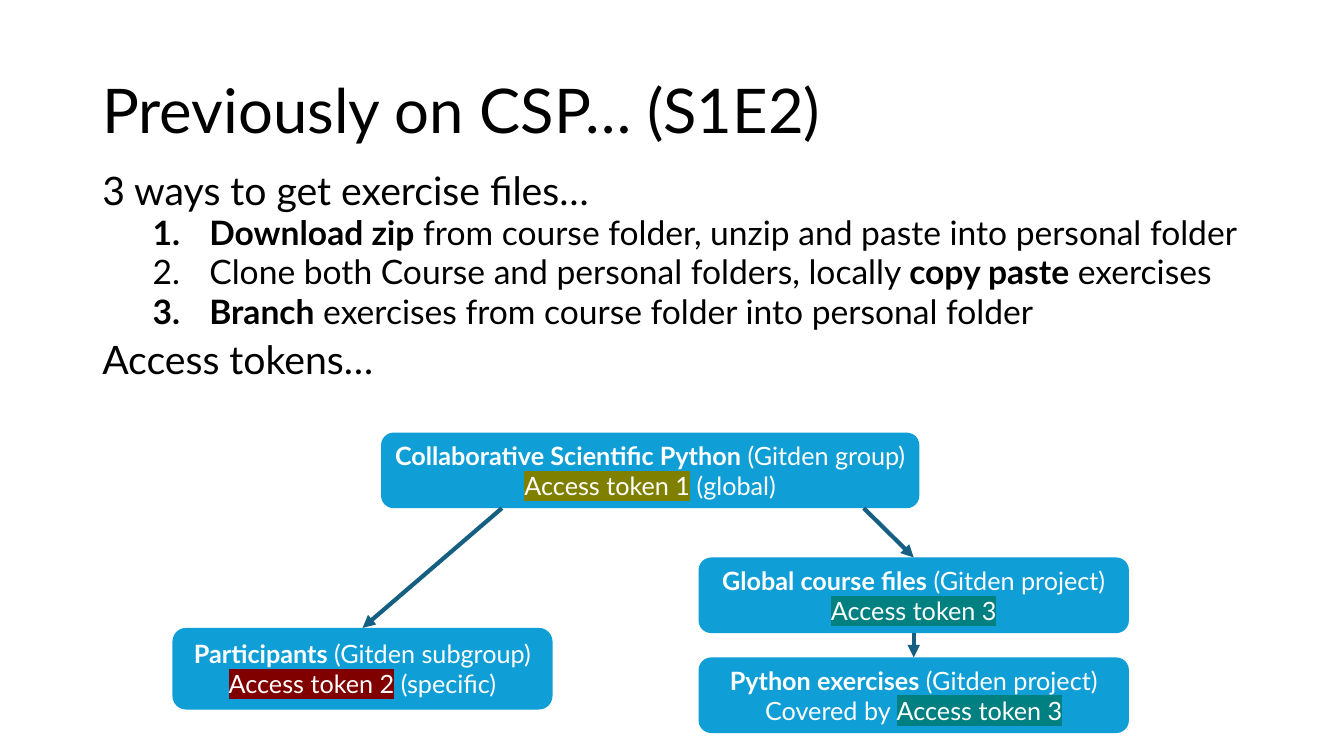
from lxml.etree import SubElement
from pptx import Presentation
from pptx.dml.color import RGBColor
from pptx.enum.shapes import MSO_CONNECTOR, MSO_SHAPE
from pptx.enum.text import MSO_ANCHOR as Anchor, PP_ALIGN as Align
from pptx.oxml import parse_xml
from pptx.oxml.ns import nsdecls, qn
from pptx.util import Pt

BLACK = RGBColor(0x00, 0x00, 0x00)
WHITE = RGBColor(0xFF, 0xFF, 0xFF)
BLUE = RGBColor(0x0F, 0x9E, 0xD5)
ARROW = RGBColor(0x15, 0x60, 0x82)
OLIVE = RGBColor(0x80, 0x80, 0x00)
MAROON = RGBColor(0x80, 0x00, 0x00)
TEAL = RGBColor(0x00, 0x80, 0x80)

TOP, BOTTOM = 0, 2


class SlideBuilder:
    """Holds the text style and the current slide."""

    font = "Lato"

    def __init__(self, page):
        self.page = page

    def spans(self, para, parts, size, color):
        """Add (text, bold, highlight) parts to a paragraph."""
        for text, bold, highlight in parts:
            span = para.add_run()
            span.text = text
            span.font.name = self.font
            span.font.size = Pt(size)
            span.font.bold = bold
            span.font.color.rgb = color
            if highlight is not None:
                mark = parse_xml(f'<a:highlight {nsdecls("a")}>'
                                 f'<a:srgbClr val="{highlight}"/></a:highlight>')
                span.font.fill._xPr.find(qn("a:solidFill")).addnext(mark)

    def text(self, left, top, width, height, anchor=Anchor.TOP):
        """Add an empty wrapping text box and return its frame."""
        box = self.page.shapes.add_textbox(Pt(left), Pt(top), Pt(width), Pt(height))
        frame = box.text_frame
        frame.word_wrap = True
        frame.vertical_anchor = anchor
        return frame

    def line(self, para, parts, size, spacing, before=0, numbered=False):
        """Fill one left-aligned paragraph, numbered if asked."""
        para.line_spacing = spacing
        para.space_before = Pt(before)
        if numbered:
            properties = para._p.get_or_add_pPr()
            properties.set("marL", str(Pt(76.5)))
            properties.set("indent", str(Pt(-40.5)))
            SubElement(properties, qn("a:buAutoNum"), type="arabicPeriod")
        self.spans(para, parts, size, BLACK)

    def node(self, left, top, width, height, name, kind, token_line):
        """Add a rounded box with a bold name and a token line."""
        box = self.page.shapes.add_shape(
            MSO_SHAPE.ROUNDED_RECTANGLE, Pt(left), Pt(top), Pt(width), Pt(height))
        box.shadow.inherit = False
        box.fill.solid()
        box.fill.fore_color.rgb = BLUE
        box.line.fill.background()
        frame = box.text_frame
        frame.word_wrap = True
        frame.vertical_anchor = Anchor.MIDDLE
        name_line = [(name, True, None), (f" ({kind})", False, None)]
        for para, parts in ((frame.paragraphs[0], name_line),
                            (frame.add_paragraph(), token_line)):
            para.alignment = Align.CENTER
            self.spans(para, parts, 18, WHITE)
        return box

    def arrow(self, x, y, target, source=None):
        """Draw an arrow from a point to the top of the target box."""
        end_x = target.left + target.width // 2
        link = self.page.shapes.add_connector(
            MSO_CONNECTOR.STRAIGHT, Pt(x), Pt(y), end_x, target.top)
        if source is not None:
            link.begin_connect(source, BOTTOM)
        link.end_connect(target, TOP)
        link.line.color.rgb = ARROW
        link.line.width = Pt(3)
        SubElement(link.line._get_or_add_ln(), qn("a:tailEnd"), type="triangle")
        SubElement(link._element.spPr, qn("a:effectLst"))


def plain(text):
    return (text, False, None)


def bold(text):
    return (text, True, None)


def token(number, color):
    return (f"Access token {number}", False, color)


def main():
    deck = Presentation()
    deck.slide_width, deck.slide_height = Pt(960), Pt(540)
    slide = SlideBuilder(deck.slides.add_slide(deck.slide_layouts[6]))

    # Title
    title = slide.text(66, 28.75, 828, 104.4, Anchor.MIDDLE)
    slide.line(title.paragraphs[0], [plain("Previously on CSP… (S1E2)")], 44, 0.9)

    # Ways to get the files
    body = slide.text(66, 121.7, 828, 160.5)
    slide.line(body.paragraphs[0], [plain("3 ways to get exercise files…")], 28, 0.8)
    ways = [
        [bold("Download zip"),
         plain(" from course folder, unzip and paste into personal folder")],
        [plain("Clone both Course and personal folders, locally "),
         bold("copy paste"), plain(" exercises")],
        [bold("Branch"), plain(" exercises from course folder into personal folder")],
    ]
    for way in ways:
        slide.line(body.add_paragraph(), way, 24, 0.8, before=5, numbered=True)
    slide.line(body.add_paragraph(), [plain("Access tokens…")], 28, 0.8, before=10)

    # Token hierarchy
    slide.node(272.2, 309, 384.5, 54, "Collaborative Scientific Python",
               "Gitden group", [token(1, OLIVE), plain(" (global)")])
    course = slide.node(499, 398.2, 307.4, 54, "Global course files",
                        "Gitden project", [token(3, TEAL)])
    participants = slide.node(123.2, 448.5, 271.5, 58.3, "Participants",
                              "Gitden subgroup", [token(2, MAROON), plain(" (specific)")])
    exercises = slide.node(499, 469.6, 307.4, 54, "Python exercises",
                           "Gitden project", [plain("Covered by "), token(3, TEAL)])

    # Arrows
    slide.arrow(358.5, 363, participants)
    slide.arrow(617, 363, course)
    slide.arrow(652.7, 452.2, exercises, source=course)

    deck.save("out.pptx")


if __name__ == "__main__":
    main()
